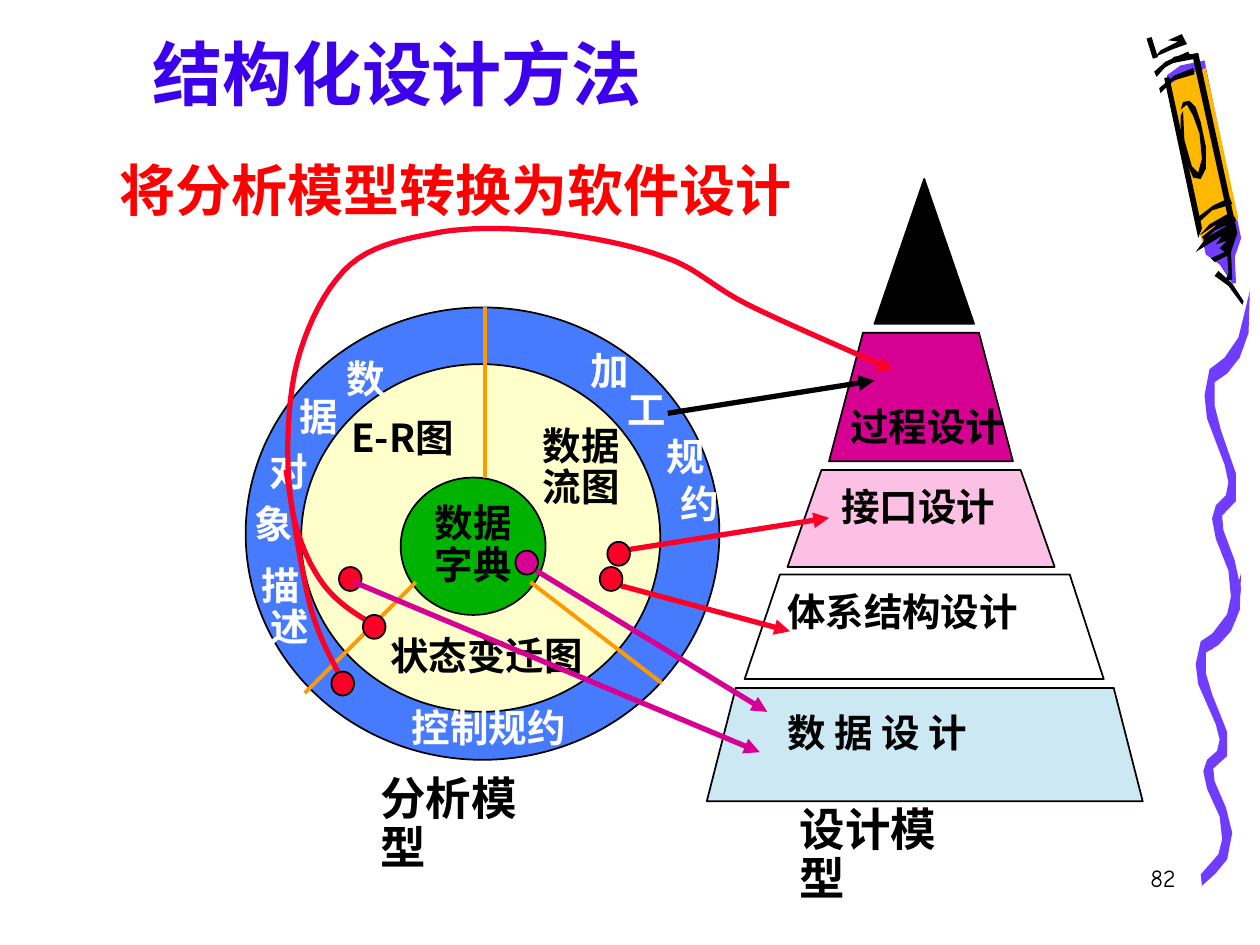
from dataclasses import dataclass

from lxml import etree
from pptx import Presentation, util as u
from pptx.dml.color import RGBColor
from pptx.enum import shapes as sh, text as tx
from pptx.oxml import ns


@dataclass(frozen=True)
class Theme:
    black: str = "000000"
    white: str = "FFFFFF"
    red: str = "FC0128"
    alert: str = "FF0000"
    pink: str = "D60093"
    rose: str = "FDC0E5"
    sky: str = "CCE8F2"
    blue: str = "477BFD"
    cream: str = "FFFFCC"
    green: str = "00B200"
    gold: str = "FF9900"
    amber: str = "FFB800"
    violet: str = "703DFF"
    indigo: str = "3D00EA"
    latin: str = "Comic Neue"
    han: str = "Noto Sans CJK SC"
    title: int = 40
    lead: int = 32
    name: int = 26
    label: int = 22
    page: int = 14


class Board:
    """Places elements on a grid of 10 columns by 7.5 rows."""

    def __init__(self, deck, theme):
        self.t = theme
        self.cell = deck.slide_width / 10
        self.slide = deck.slides.add_slide(deck.slide_layouts[6])
        self.items = self.slide.shapes

    def at(self, *spans):
        return [round(s * self.cell) for s in spans]

    def edge(self, item, color, width, arrow=False):
        item.line.color.rgb = RGBColor.from_string(color)
        item.line.width = u.Pt(width)
        if arrow:
            stroke = item._element.spPr.find(ns.qn("a:ln"))
            etree.SubElement(stroke, ns.qn("a:tailEnd"), type="triangle")

    def paint(self, item, fill, line=None, width=1, arrow=False):
        item.shadow.inherit = False
        if fill:
            item.fill.solid()
            item.fill.fore_color.rgb = RGBColor.from_string(fill)
        else:
            item.fill.background()
        if line:
            self.edge(item, line, width, arrow)
        else:
            item.line.fill.background()
        return item

    def shape(self, kind, box, fill):
        return self.paint(self.items.add_shape(kind, *self.at(*box)), fill, self.t.black)

    def oval(self, box, fill):
        return self.shape(sh.MSO_SHAPE.OVAL, box, fill)

    def dot(self, x, y, fill):
        self.oval((x, y, 0.18, 0.19), fill)

    def free(self, pts, fill, line=None, width=1, close=True, arrow=False):
        pts = [self.at(*p) for p in pts]
        form = self.items.build_freeform(*pts[0])
        form.add_line_segments(pts[1:], close=close)
        return self.paint(form.convert_to_shape(), fill, line, width, arrow)

    def curve(self, pts, color, arrow=False, steps=10):
        """Follows cubic arcs: a start, then two handles and an end for each."""
        trace = [pts[0]]
        for i in range(0, len(pts) - 1, 3):
            for k in range(1, steps + 1):
                s = k / steps
                mix = ((1 - s) ** 3, 3 * s * (1 - s) ** 2, 3 * s * s * (1 - s), s ** 3)
                trace.append([sum(m * p[d] for m, p in zip(mix, pts[i:i + 4])) for d in (0, 1)])
        self.free(trace, None, color, 3, False, arrow)

    def line(self, ends, color, width=3.0, arrow=True):
        item = self.items.add_connector(sh.MSO_CONNECTOR.STRAIGHT, *self.at(*ends))
        self.edge(item, color, width, arrow)
        etree.SubElement(item._element.spPr, ns.qn("a:effectLst"))

    def put(self, frame, words, size, color, font=None, bold=True, aligns="l", wrap=True):
        sides = {"l": tx.PP_ALIGN.LEFT, "c": tx.PP_ALIGN.CENTER, "r": tx.PP_ALIGN.RIGHT}
        frame.word_wrap = wrap
        for i, word in enumerate(words.split("\n")):
            para = frame.add_paragraph() if i else frame.paragraphs[0]
            para.text = word
            para.alignment = sides[aligns[min(i, len(aligns) - 1)]]
            para.line_spacing = 0.9
            face = para.font
            face.size, face.bold = u.Pt(size), bold
            face.color.rgb = RGBColor.from_string(color)
            face.name = font or self.t.han
            base = para._p.pPr.find(ns.qn("a:defRPr"))
            etree.SubElement(base, ns.qn("a:ea"), typeface=self.t.han)

    def text(self, box, words, size, color, **style):
        frame = self.items.add_textbox(*self.at(*box)).text_frame
        self.put(frame, words, size, color, **style)
        return frame


def decor(b):
    t = b.t
    # Wavy ribbon: one outline, placed twice
    wave = [(0.04, 2.39), (0.18, 2.23), (0.21, 2.11), (0.19, 1.93), (0.09, 1.71), (0.06, 1.57),
            (0.09, 1.48), (0.17, 1.41), (0.19, 1.32), (0.16, 1.2), (0.02, 0.88), (0, 0.72),
            (0.04, 0.54), (0.16, 0.46), (0.27, 0.32), (0.36, 0), (0.35, 0.29), (0.28, 0.46),
            (0.18, 0.57), (0.08, 0.63), (0.08, 0.79), (0.13, 0.96), (0.25, 1.26), (0.25, 1.45),
            (0.14, 1.55), (0.15, 1.65), (0.24, 1.86), (0.29, 2.06), (0.25, 2.27), (0.16, 2.38),
            (0.05, 2.48)]
    for x, y, tall in ((9.49, 4.55, 1), (9.56, 2.31, 1.15)):
        b.free([(x + p, y + q * tall) for p, q in wave], t.violet)

    # Crayon: paper, body and ink strokes
    crayon = [
        (t.white, [(9.5, .44), (9.3, .47), (9.19, .57), (9.49, 1.97), (9.62, 2.07), (9.72, 2.2),
                   (9.76, 2.19), (9.75, 1.98), (9.79, 1.85)]),
        (t.violet, [(9.26, .6), (9.57, 2.02), (9.68, 2.1), (9.78, 2.25), (9.81, 2.25), (9.8, 2.04),
                    (9.85, 1.89), (9.56, .48), (9.37, .52)]),
        (t.amber, [(9.54, 1.92), (9.68, 1.79), (9.83, 1.74), (9.57, .54), (9.36, .62), (9.27, .68)]),
        (t.black, [(9.64, 2.19), (9.75, 2.27), (9.86, 2.42), (9.87, 2.39), (9.78, 2.25), (9.67, 2.15)]),
        (t.black, [(9.17, .45), (9.31, .39), (9.42, .35), (9.38, .27), (9.27, .32), (9.35, .33),
                   (9.21, .4)]),
        (t.black, [(9.37, .92), (9.37, 1.06), (9.41, 1.27), (9.47, 1.41), (9.53, 1.42), (9.57, 1.34),
                   (9.57, 1.16), (9.53, .97), (9.49, .85), (9.44, .8), (9.39, .81), (9.37, .87),
                   (9.42, .83), (9.47, .92), (9.52, 1.06), (9.54, 1.26), (9.51, 1.37), (9.46, 1.32),
                   (9.4, 1.11), (9.39, .88)]),
        (t.black, [(9.24, .62), (9.51, 1.89), (9.54, 1.81), (9.28, .61)]),
        (t.black, [(9.49, 2), (9.57, 1.89), (9.74, 1.79), (9.64, 1.79), (9.52, 1.87), (9.6, 1.78),
                   (9.74, 1.7), (9.47, .47), (9.31, .5), (9.2, .56), (9.32, .45), (9.51, .42),
                   (9.82, 1.85), (9.77, 2), (9.78, 2.22), (9.72, 2.23), (9.75, 2.17), (9.74, 2.03),
                   (9.64, 2.08), (9.61, 2.05), (9.72, 2), (9.68, 1.97), (9.74, 1.91), (9.65, 1.94),
                   (9.7, 1.87)]),
        (t.black, [(9.56, 1.91), (9.64, 1.83), (9.81, 1.75), (9.8, 1.72), (9.69, 1.76), (9.54, 1.88)]),
        (t.black, [(9.51, 1.77), (9.62, 1.67), (9.78, 1.62), (9.76, 1.57), (9.63, 1.63), (9.5, 1.73)]),
        (t.black, [(9.21, .74), (9.31, .64), (9.48, .59), (9.47, .54), (9.32, .6), (9.2, .7)]),
        (t.black, [(9.18, .61), (9.26, .52), (9.45, .45), (9.43, .41), (9.25, .49), (9.16, .57)]),
    ]
    for fill, pts in crayon:
        b.free(pts, fill)
    b.line((9.12, .3, 9.17, .46), t.black, arrow=False)


def rings(b):
    t = b.t
    # Nested ovals and their dividers
    b.oval((1.95, 2.44, 3.76, 3.59), t.blue)
    b.oval((2.39, 2.89, 2.85, 2.76), t.cream)
    core = b.oval((3.18, 3.79, 1.15, 1.09), t.green)
    core.text_frame.vertical_anchor = tx.MSO_ANCHOR.MIDDLE
    b.put(core.text_frame, "数据\n字典", t.label, t.black, aligns="c", wrap=False)
    for ends in ((3.85, 2.44, 3.85, 3.79), (4.21, 4.62, 5.25, 5.42), (3.3, 4.62, 2.42, 5.5)):
        b.line(ends, t.gold, 2.25, arrow=False)

    # Inner labels, then the outer ring's labels
    for x, y, w, h, word in ((4.21, 3.34, .9, .84, "数据\n流图"), (2.69, 3.28, 1.21, .47, "E-R图"),
                             (3, 5.01, 1.94, .47, "状态变迁图")):
        b.text((x, y, w, h), word, t.label, t.black)
    for x, y, word in ((4.59, 2.75, "加"), (4.88, 3.06, "工"), (5.19, 3.43, "规"), (5.3, 3.8, "约"),
                       (2.65, 2.81, "数"), (2.28, 3.11, "据"), (2.04, 3.55, "对"), (1.92, 3.96, "象")):
        b.text((x, y, .5, .47), word, t.label, t.white, wrap=False)
    b.text((3.17, 5.58, 1.42, .47), "控制规约", t.label, t.white, wrap=False)
    b.text((1.98, 4.45, .57, .84), "描\n述", t.label, t.white, aligns="lr")


def tower(b):
    t = b.t
    # Pyramid tiers: top and bottom rows, left edges, right edges
    b.shape(sh.MSO_SHAPE.ISOSCELES_TRIANGLE, (6.94, 1.42, .79, 1.15), t.black)
    for top, low, left, inner, outer, right, fill in (
            (2.64, 3.66, 6.58, 6.85, 7.77, 8.04, t.pink), (3.73, 4.5, 6.25, 6.52, 8.1, 8.37, t.rose),
            (5.46, 6.36, 5.61, 5.84, 8.84, 9.07, t.sky), (4.56, 5.39, 5.91, 6.19, 8.49, 8.76, t.white)):
        b.free([(left, low), (inner, top), (outer, top), (right, low)], fill, t.black)
    for x, y, w, word in ((6.15, 5.62, 2.68, "数 据 设 计"), (6.15, 4.66, 2.37, "体系结构设计"),
                          (6.58, 3.83, 1.76, "接口设计"), (6.65, 3.19, 1.5, "过程设计")):
        b.text((x, y, w, .47), word, t.label, t.black)


def links(b):
    t = b.t
    # Arrows from the rings to the tiers, with their dots
    b.line((5.3, 3.28, 6.94, 3.02), t.black)
    b.line((4.94, 4.37, 6.58, 4.11), t.red)
    b.line((4.82, 4.62, 6.27, 5.01), t.red)
    b.dot(4.82, 4.3, t.red)
    b.dot(4.76, 4.5, t.red)
    b.line((4.21, 4.5, 6.09, 5.65), t.pink)
    b.dot(4.09, 4.37, t.pink)
    b.dot(2.69, 4.5, t.red)
    b.curve([(3.03, 4.99), (2.84, 4.89), (2.66, 4.78), (2.54, 4.6), (2.42, 4.42), (2.33, 4.19),
             (2.3, 3.9), (2.27, 3.61), (2.28, 3.17), (2.36, 2.87), (2.44, 2.57), (2.59, 2.27),
             (2.78, 2.1), (2.98, 1.93), (3.25, 1.89), (3.51, 1.84), (3.77, 1.8), (4.07, 1.81),
             (4.36, 1.84), (4.66, 1.88), (5.01, 1.94), (5.27, 2.04), (5.54, 2.13), (5.64, 2.27),
             (5.94, 2.42), (6.24, 2.57), (6.9, 2.85), (7.09, 2.94)], t.red, arrow=True)
    b.curve([(2.75, 5.46), (2.66, 5.29), (2.57, 5.13), (2.51, 4.96), (2.45, 4.8), (2.43, 4.67),
             (2.39, 4.47), (2.35, 4.26), (2.29, 3.85), (2.27, 3.73)], t.red)
    b.dot(2.88, 4.88, t.red)
    b.dot(2.63, 5.33, t.red)
    b.line((2.81, 4.62, 6.03, 5.97), t.pink)


def heads(b):
    t = b.t
    # Title, lead, model names and page number
    b.text((1.11, .27, 5.31, .77), "结构化设计方法", t.title, t.indigo, font=t.latin)
    lead = b.text((.58, 1.17, 6.08, .65), "将分析模型转换为软件设计", t.lead, t.alert, aligns="c")
    lead.vertical_anchor = tx.MSO_ANCHOR.BOTTOM
    for x, y, word in ((2.92, 6.11, "分析模型"), (6.25, 6.36, "设计模型")):
        b.text((x, y, 1.64, .54), word, t.name, t.black, wrap=False)
    b.text((7.35, 6.83, 2.08, .5), "82", t.page, t.black, font=t.latin, bold=False, aligns="r")


def main():
    deck = Presentation()
    deck.slide_width, deck.slide_height = u.Inches(10), u.Inches(7.5)
    board = Board(deck, Theme())
    for part in (decor, rings, tower, links, heads):
        part(board)
    deck.save("out.pptx")


if __name__ == "__main__":
    main()
